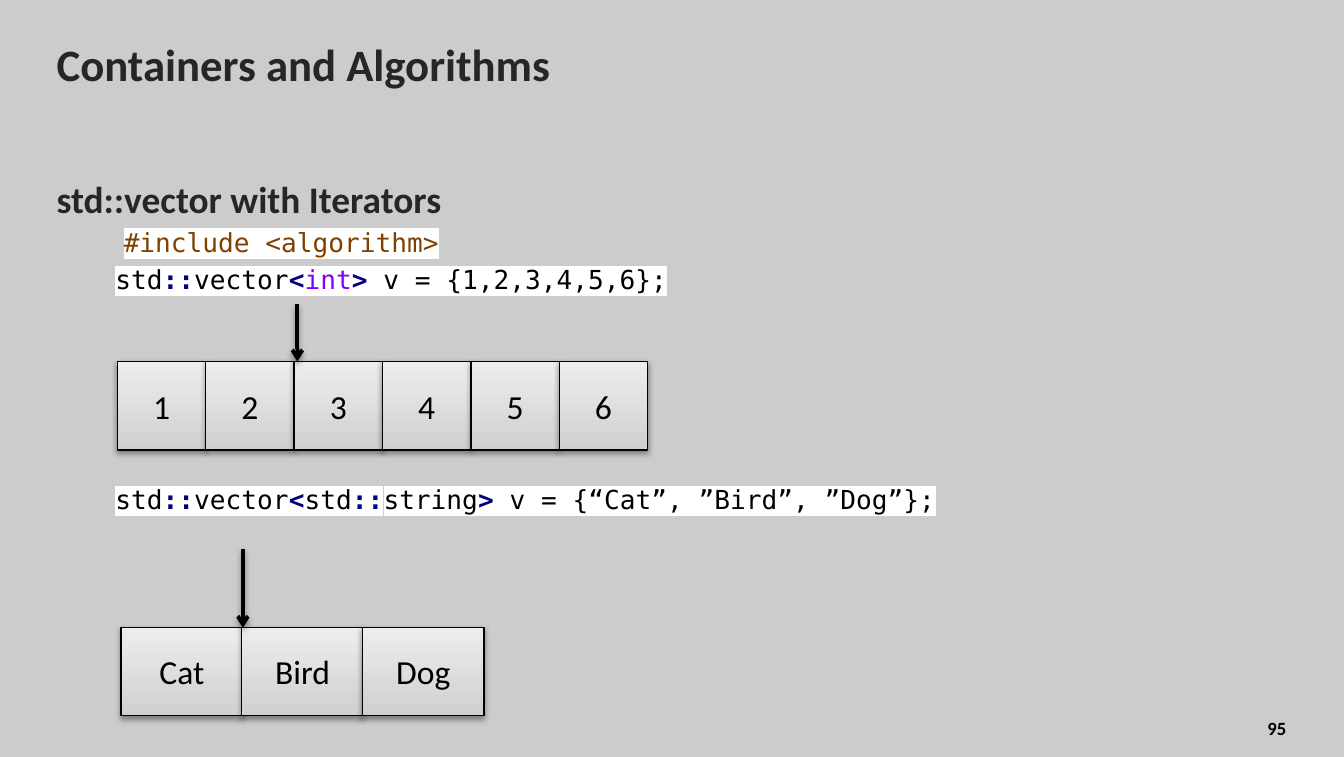
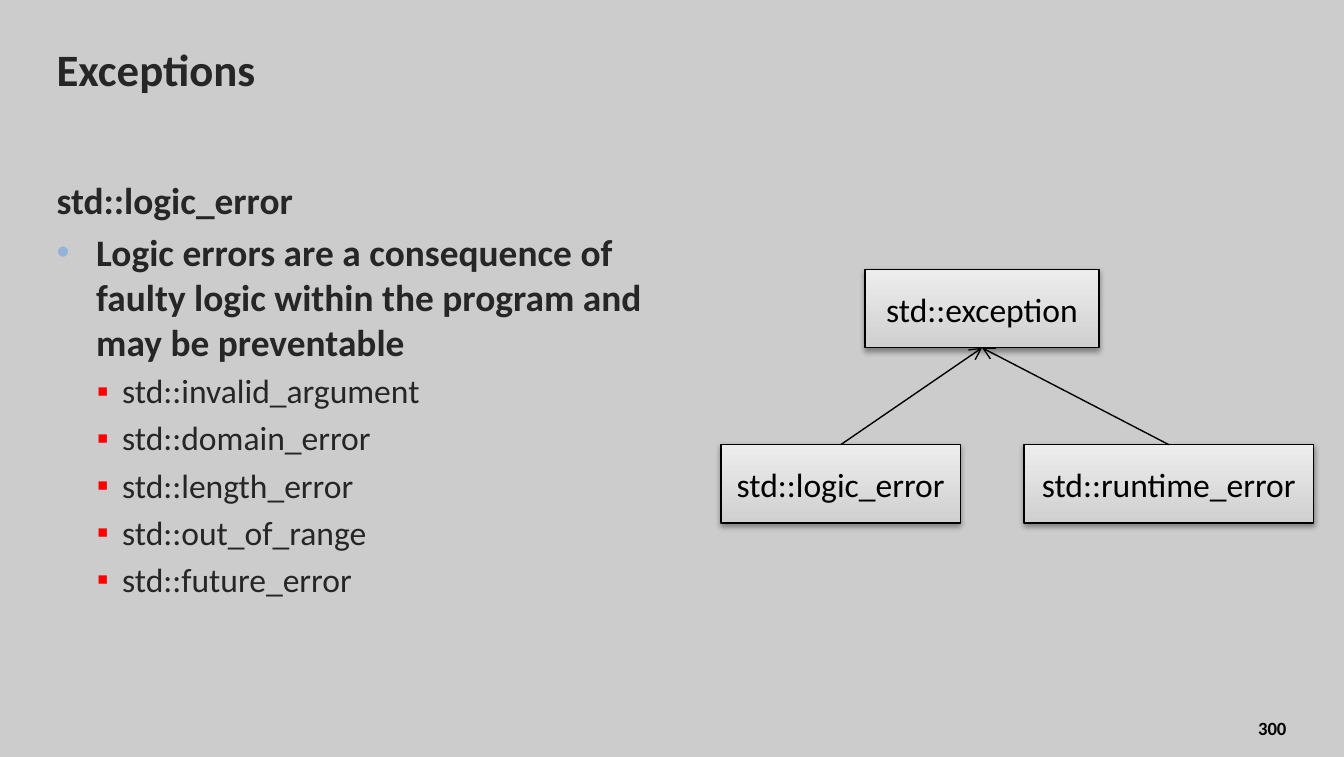
"""Build two C++ teaching slides: iterators over vectors and the exception hierarchy."""
from dataclasses import dataclass, replace
from typing import Any, NamedTuple

from lxml.etree import SubElement
from pptx import Presentation
from pptx.dml.color import RGBColor
from pptx.enum.shapes import MSO_CONNECTOR as Connector, MSO_SHAPE as Shape
from pptx.enum.text import MSO_ANCHOR as Anchor, PP_ALIGN as Align
from pptx.oxml.ns import qn
from pptx.util import Cm, Pt


@dataclass(frozen=True)
class TextStyle:
    size: float
    color: str
    font: str = "Calibri"
    bold: bool = False
    highlight: str = ""


@dataclass(frozen=True)
class Theme:
    background: str = "CCCCCC"
    ink: str = "000000"
    box_bottom: str = "D0D0D0"
    box_top: str = "EDEDED"
    bullet: str = "95B3D7"
    sub_bullet: str = "FF0000"
    thin: float = 0.75
    thick: float = 2
    title: TextStyle = TextStyle(24, "262626", bold=True)
    heading: TextStyle = TextStyle(20, "262626", bold=True)
    detail: TextStyle = TextStyle(18, "262626")
    label: TextStyle = TextStyle(18, "000000")
    number: TextStyle = TextStyle(10, "000000", bold=True)
    code: TextStyle = TextStyle(14, "000000", "DejaVu Sans Mono", highlight="FFFFFF")
    operator: TextStyle = replace(code, color="000080", bold=True)
    keyword: TextStyle = replace(code, color="8000FF")
    directive: TextStyle = replace(code, color="804000")


THEME = Theme()


class Frame(NamedTuple):
    left: float
    top: float
    width: float
    height: float


class Span(NamedTuple):
    text: str
    style: TextStyle


class Line(NamedTuple):
    spans: list[Span]
    before: float = 0
    indent: float = 0
    hanging: float = 0
    bullet: str = ""
    bullet_color: str = ""
    level: int = 0


class Node(NamedTuple):
    text: str
    frame: Frame


NUMBER_FRAME = Frame(22.4, 13.19, 1.91, 1.12)
SCOPE = [Span("std", THEME.code), Span("::", THEME.operator)]
VECTOR_OPENING = [*SCOPE, Span("vector", THEME.code), Span("<", THEME.operator)]


def apply(target: Any, values: dict[str, Any]) -> None:
    """Set each named attribute on the target."""
    for name, value in values.items():
        setattr(target, name, value)


def add_color(parent: Any, tag: str, color: str) -> Any:
    """Append a colour element and return it."""
    element = SubElement(parent, qn(tag))
    SubElement(element, qn("a:srgbClr"), val=color)
    return element


def add_shadow(effects: Any) -> None:
    """Append the soft drop shadow to an effect list."""
    shadow = SubElement(effects, qn("a:outerShdw"), blurRad="40000", dist="20000",
                        dir="5400000", rotWithShape="0")
    color = SubElement(shadow, qn("a:srgbClr"), val=THEME.ink)
    SubElement(color, qn("a:alpha"), val="38000")


def add_span(para: Any, span: Span) -> None:
    """Append one styled run to a paragraph."""
    run = para.add_run()
    run.text = span.text
    style = span.style
    apply(run.font, {"size": Pt(style.size), "name": style.font, "bold": style.bold})
    run.font.color.rgb = RGBColor.from_string(style.color)
    if style.highlight:
        properties = run._r.get_or_add_rPr()
        highlight = add_color(properties, "a:highlight", style.highlight)
        properties.find(qn("a:solidFill")).addnext(highlight)


def write_lines(box: Any, lines: list[Line], align: Align = Align.LEFT) -> None:
    """Fill a shape with paragraphs."""
    frame = box.text_frame
    for index, line in enumerate(lines):
        para = frame.add_paragraph() if index else frame.paragraphs[0]
        apply(para, {"alignment": align, "space_before": Pt(line.before), "level": line.level})
        properties = para._p.get_or_add_pPr()
        properties.set("marL", str(Cm(line.indent)))
        properties.set("indent", str(Cm(-line.hanging)))
        if line.bullet:
            add_color(properties, "a:buClr", line.bullet_color)
            SubElement(properties, qn("a:buFont"), typeface="Arial")
            SubElement(properties, qn("a:buChar"), char=line.bullet)
        for span in line.spans:
            add_span(para, span)


def add_text(page: Any, frame: Frame, lines: list[Line], anchor: Anchor = Anchor.TOP,
             align: Align = Align.LEFT) -> None:
    """Add a text box without margins."""
    box = page.shapes.add_textbox(*map(Cm, frame))
    apply(box.text_frame, {"word_wrap": True, "vertical_anchor": anchor, "margin_left": 0,
                           "margin_right": 0, "margin_top": 0, "margin_bottom": 0})
    write_lines(box, lines, align)


def add_node(page: Any, node: Node) -> Any:
    """Add a labelled gradient rectangle."""
    box = page.shapes.add_shape(Shape.RECTANGLE, *map(Cm, node.frame))
    box.fill.gradient()
    box.fill.gradient_angle = 90
    for stop, color in zip(box.fill.gradient_stops, (THEME.box_bottom, THEME.box_top)):
        stop.color.rgb = RGBColor.from_string(color)
    box.line.color.rgb = RGBColor.from_string(THEME.ink)
    box.line.width = Pt(THEME.thin)
    box.shadow.inherit = False
    add_shadow(box._element.spPr.find(qn("a:effectLst")))
    apply(box.text_frame, {"word_wrap": True, "vertical_anchor": Anchor.MIDDLE})
    write_lines(box, [Line([Span(node.text, THEME.label)])], Align.CENTER)
    return box


def add_row(page: Any, labels: list[str], first: Frame, pitch: float) -> None:
    """Add adjoining cells from left to right."""
    for index, label in enumerate(labels):
        add_node(page, Node(label, first._replace(left=first.left + index * pitch)))


def add_arrow(page: Any, start: tuple[float, float], end: tuple[float, float],
              width: float, shadowed: bool = False) -> Any:
    """Add a straight arrow, with a shadow if wanted."""
    arrow = page.shapes.add_connector(Connector.STRAIGHT, *map(Cm, (*start, *end)))
    arrow.line.color.rgb = RGBColor.from_string(THEME.ink)
    arrow.line.width = Pt(width)
    outline = arrow._element.spPr
    SubElement(outline.find(qn("a:ln")), qn("a:tailEnd"), type="arrow")
    effects = SubElement(outline, qn("a:effectLst"))
    if shadowed:
        add_shadow(effects)
    return arrow


def add_page(deck: Any, title: str, title_top: float, number: str) -> Any:
    """Add a page with background, title and page number."""
    page = deck.slides.add_slide(deck.slide_layouts[6])
    page.background.fill.solid()
    page.background.fill.fore_color.rgb = RGBColor.from_string(THEME.background)
    add_text(page, Frame(1.07, title_top, 21.03, 1.91),
             [Line([Span(title, THEME.title)])], Anchor.MIDDLE)
    add_text(page, NUMBER_FRAME, [Line([Span(number, THEME.number)])],
             Anchor.MIDDLE, Align.RIGHT)
    return page


def build_containers(deck: Any) -> None:
    """Build the page on vectors and iterators."""
    page = add_page(deck, "Containers and Algorithms", 0.25, "95")
    numbers = [*VECTOR_OPENING, Span("int", THEME.keyword), Span(">", THEME.operator),
               Span(" v = {1,2,3,4,5,6};", THEME.code)]
    words = [*VECTOR_OPENING, *SCOPE, Span("string", THEME.code), Span(">", THEME.operator),
             Span(" v = {“Cat”, ”Bird”, ”Dog”};", THEME.code)]
    add_text(page, Frame(1.07, 3.33, 20.98, 8.66), [
        Line([Span("std::vector with Iterators", THEME.heading)], before=4),
        Line([Span("#include <algorithm>", THEME.directive)], before=2.8, indent=1.27),
        Line(numbers, before=3.2, indent=1.11),
        Line(words, before=101, indent=1.11),
    ])
    add_row(page, list("123456"), Frame(2.22, 6.83, 1.67, 1.67), 1.67)
    add_row(page, ["Cat", "Bird", "Dog"], Frame(2.29, 11.85, 2.3, 1.67), 2.28)
    add_arrow(page, (5.62, 5.75), (5.62, 6.83), THEME.thick, shadowed=True)
    add_arrow(page, (4.59, 10.37), (4.59, 11.86), THEME.thick, shadowed=True)


def build_exceptions(deck: Any) -> None:
    """Build the page on logic errors and their hierarchy."""
    page = add_page(deck, "Exceptions", 0.35, "300")
    errors = ["invalid_argument", "domain_error", "length_error", "out_of_range", "future_error"]
    summary = ("Logic errors are a consequence of faulty logic within the program "
               "and may be preventable")
    add_text(page, Frame(1.07, 3.34, 11.15, 9.25), [
        Line([Span("std::logic_error", THEME.heading)], before=4),
        Line([Span(summary, THEME.heading)], 4, 0.75, 0.75, "•", THEME.bullet),
        *(Line([Span(f"std::{error}", THEME.detail)], 3.6, 1.24, 0.48, "▪", THEME.sub_bullet, 1)
          for error in errors),
    ])
    base = add_node(page, Node("std::exception", Frame(16.35, 5.09, 4.42, 1.48)))
    derived = [Node("std::logic_error", Frame(13.63, 8.4, 4.52, 1.48)),
               Node("std::runtime_error", Frame(19.35, 8.4, 5.48, 1.48))]
    for child in [add_node(page, node) for node in derived]:
        arrow = add_arrow(page, (0, 0), (1, 1), THEME.thin)
        arrow.begin_connect(child, 0)
        arrow.end_connect(base, 2)


def main() -> None:
    """Create and save the deck."""
    deck = Presentation()
    apply(deck, {"slide_width": Cm(25.4), "slide_height": Cm(14.3)})
    build_containers(deck)
    build_exceptions(deck)
    deck.save("out.pptx")


if __name__ == "__main__":
    main()
